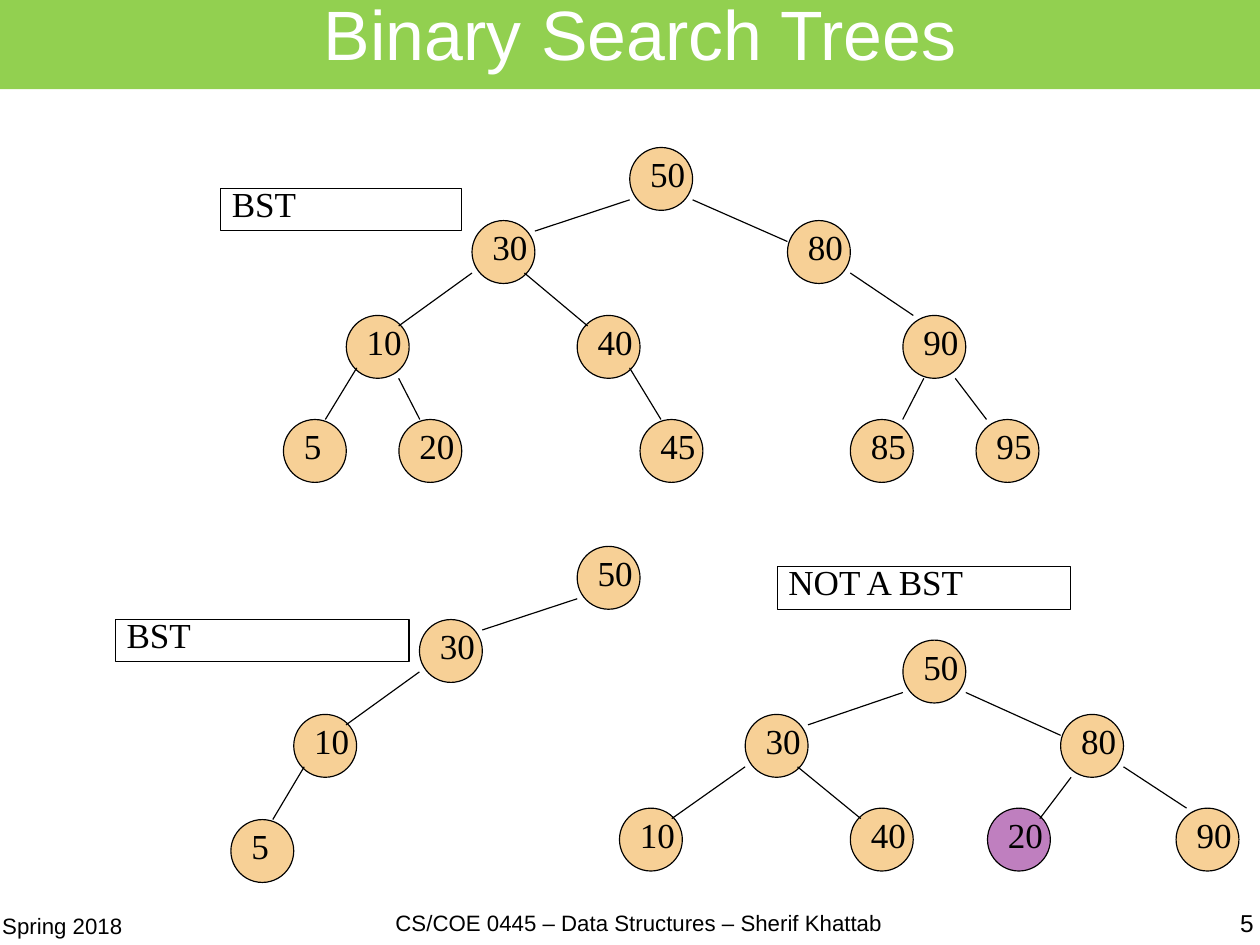
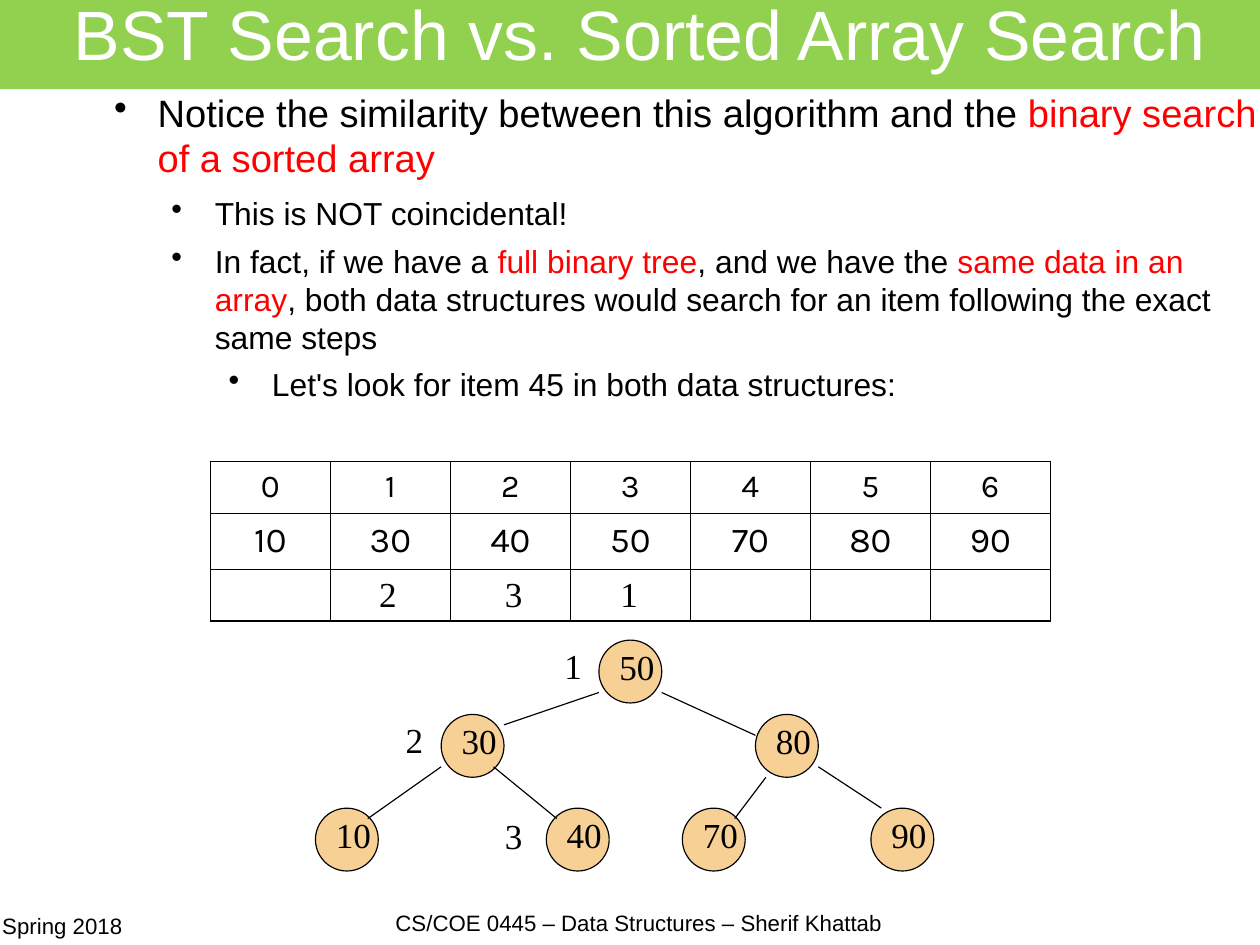
from lxml import etree
from pptx import Presentation
from pptx.dml.color import RGBColor
from pptx.enum import shapes, text
from pptx.oxml import ns
from pptx.util import Emu, Inches, Pt

INK = {"band": "92D050", "white": "FFFFFF", "black": "000000",
       "red": "FF0000", "node": "F0A22E", "odd": "800080"}
SANS, SERIF, GRID = "Arial", "Times New Roman", "Karla"
LEFT, MID, RIGHT = text.PP_ALIGN.LEFT, text.PP_ALIGN.CENTER, text.PP_ALIGN.RIGHT
TOP, CORE = text.MSO_ANCHOR.TOP, text.MSO_ANCHOR.MIDDLE
RECT, OVAL = shapes.MSO_SHAPE.RECTANGLE, shapes.MSO_SHAPE.OVAL
NODE = 0.55

# Ends of each edge, in sixths of a node: parent x, y, then child x, y
PORTS = {("50", "30"): (0, 5, 6, 1), ("50", "80"): (6, 5, 0, 2),
         ("30", "10"): (0, 5, 5, 1), ("30", "40"): (5, 5, 1, 1),
         ("80", "90"): (6, 5, 1, 0), ("80", "20"): (1, 6, 5, 1),
         ("80", "70"): (1, 6, 5, 1), ("10", "5"): (1, 5, 4, 0),
         ("10", "20"): (5, 6, 2, 0), ("40", "45"): (5, 5, 2, 0),
         ("90", "85"): (2, 6, 5, 0), ("90", "95"): (5, 6, 1, 0)}


def put(slide, at, words, size=22.1, font=SERIF, kind=None, fill=None,
        ink="black", align=LEFT, anchor=TOP, gap=0.69, pad=None, wrap=True):
    """Add a text box, or a preset shape with text, and return it."""
    at = [Inches(v) for v in at]
    if kind is None:
        box = slide.shapes.add_textbox(*at)
    else:
        box = slide.shapes.add_shape(kind, *at)
        box.shadow.inherit = False
        box.line.color.rgb = RGBColor.from_string(INK["black"])
        box.line.width = Pt(0.75)
        box.fill.background()
    if fill:
        box.fill.solid()
        box.fill.fore_color.rgb = RGBColor.from_string(INK[fill])
    frame = box.text_frame
    frame.word_wrap, frame.vertical_anchor = wrap, anchor
    if pad is not None:
        frame.margin_left = Inches(pad)
        frame.margin_right = frame.margin_top = frame.margin_bottom = 0
    para = frame.paragraphs[0]
    para.text, para.alignment, para.line_spacing = words, align, gap
    para.font.size, para.font.name = Pt(size), font
    para.font.color.rgb = RGBColor.from_string(INK[ink])
    return box


def tree(slide, nodes):
    """Draw nodes given as (label, parent, left, top), then their edges."""
    spot = {label: (x, y) for label, _, x, y in nodes}
    for label, root, x, y in nodes:
        odd = (root, label) == ("80", "20")
        ball = put(slide, (x, y, NODE, NODE), label, kind=OVAL,
                   fill="odd" if odd else "node", anchor=CORE, wrap=False)
        tint = ball.fill._xPr.find(".//" + ns.qn("a:srgbClr"))
        etree.SubElement(tint, ns.qn("a:alpha"), val="50000")
    for label, root, x, y in nodes:
        if root:
            px, py, cx, cy = [n * NODE / 6 for n in PORTS[root, label]]
            rx, ry = spot[root]
            edge = slide.shapes.add_connector(
                shapes.MSO_CONNECTOR.STRAIGHT, Inches(rx + px), Inches(ry + py),
                Inches(x + cx), Inches(y + cy))
            edge.line.color.rgb = RGBColor.from_string(INK["black"])
            edge.line.width = Pt(0.75)
            etree.SubElement(edge._element.spPr, ns.qn("a:effectLst"))


deck = Presentation()
deck.slide_width, deck.slide_height = Emu(10080625), Emu(7559675)

# Title band and footers on both slides
pages = []
for title in ("Binary Search Trees", "BST Search vs. Sorted Array Search"):
    page = deck.slides.add_slide(deck.slide_layouts[6])
    band = put(page, (0, -0.02, 11.04, 0.8), title, 44, SANS, RECT, "band",
               "white", MID, CORE, pad=0.17)
    band.line.fill.background()
    put(page, (0.02, 8.05, 2.53, 0.55), "Spring 2018", 14, SANS, gap=0.69, pad=0)
    put(page, (3.07, 8.01, 5.04, 0.55),
        "CS/COE 0445 – Data Structures – Sherif Khattab", 14, SANS,
        align=MID, gap=0.73, pad=0)
    pages.append(page)
first, second = pages

# Slide 1: three trees
put(first, (8.44, 8.01, 2.53, 0.55), "5", 15.4, SANS, align=RIGHT, gap=0.73, pad=0)
tree(first, [("50", None, 5.51, 1.29), ("30", "50", 4.13, 1.93),
             ("80", "50", 6.89, 1.93), ("10", "30", 3.03, 2.76),
             ("40", "30", 5.05, 2.76), ("90", "80", 7.9, 2.76),
             ("5", "10", 2.48, 3.67), ("20", "10", 3.49, 3.67),
             ("45", "40", 5.6, 3.67), ("85", "90", 7.44, 3.67),
             ("95", "90", 8.54, 3.67)])
tree(first, [("50", None, 5.05, 4.78), ("30", "50", 3.67, 5.42),
             ("10", "30", 2.57, 6.25), ("5", "10", 2.02, 7.17)])
tree(first, [("50", None, 7.9, 5.6), ("30", "50", 6.52, 6.25),
             ("80", "50", 9.28, 6.25), ("10", "30", 5.42, 7.07),
             ("40", "30", 7.44, 7.07), ("20", "80", 8.64, 7.07),
             ("90", "80", 10.29, 7.07)])
for words, x, y, wide in (("BST", 1.93, 1.65, 2.11), ("BST", 1.01, 5.42, 2.57),
                          ("NOT A BST", 6.8, 4.96, 2.57)):
    put(first, (x, y, wide, 0.37), words, kind=RECT)

# Slide 2: bullets as (indent, size, space after, runs), every second run red
points = [
    (1.38, 24, 8.5, ["Notice the similarity between this algorithm and the ",
                     "binary search of a sorted array"]),
    (1.88, 20, 5.8, ["This is NOT coincidental!"]),
    (1.88, 20, 5.8, ["In fact, if we have a ", "full binary tree",
                     ", and we have the ", "same data in an array",
                     ", both data structures would search for an item "
                     "following the exact same steps"]),
    (2.38, 20, 2.9, ["Let's look for item 45 in both data structures:"])]
body = second.shapes.add_textbox(0, Inches(0.78), Inches(11.04), Inches(7.18)).text_frame
body.word_wrap = True
body.margin_left = body.margin_right = body.margin_top = body.margin_bottom = 0
for i, (indent, size, after, runs) in enumerate(points):
    para = body.add_paragraph() if i else body.paragraphs[0]
    para.font.size, para.font.name = Pt(size), SANS
    para.space_after = Pt(after)
    for j, words in enumerate(runs):
        run = para.add_run()
        run.text = words
        run.font.color.rgb = RGBColor.from_string(INK["red" if j % 2 else "black"])
    props = para._p.get_or_add_pPr()
    props.set("marL", str(Inches(indent)))
    props.set("indent", str(Inches(-0.38)))
    dot = etree.Element(ns.qn("a:buChar"), char="•")
    props.find(ns.qn("a:spcAft")).addnext(dot)

# Sorted array with the order of the search steps
rows = [(0.45, 20, "0 1 2 3 4 5 6".split()),
        (0.48, 22, "10 30 40 50 70 80 90".split()),
        (0.45, 20, [""] * 7)]
grid = second.shapes.add_table(3, 7, Inches(1.84), Inches(4.04),
                               Inches(7.35), Inches(1.38)).table
grid.first_row = grid.horz_banding = False
for col in grid.columns:
    col.width = Inches(1.05)
for r, (high, size, items) in enumerate(rows):
    grid.rows[r].height = Inches(high)
    for c, item in enumerate(items):
        cell = grid.cell(r, c)
        cell.margin_left = cell.margin_right = Inches(0.11)
        cell.margin_top = cell.margin_bottom = Inches(0.06)
        para = cell.text_frame.paragraphs[0]
        para.text, para.alignment = item, MID
        para.font.size, para.font.name = Pt(size), GRID
        para.font.color.rgb = RGBColor.from_string(INK["black"])
        props = cell._tc.get_or_add_tcPr()
        for side in ("lnL", "lnR", "lnT", "lnB"):
            line = etree.SubElement(props, ns.qn("a:" + side), w=str(Pt(1)))
            paint = etree.SubElement(line, ns.qn("a:solidFill"))
            etree.SubElement(paint, ns.qn("a:srgbClr"), val=INK["black"])
        cell.fill.background()

# Search tree, with the same steps beside its nodes
tree(second, [("50", None, 5.24, 5.6), ("30", "50", 3.86, 6.25),
              ("80", "50", 6.61, 6.25), ("10", "30", 2.76, 7.07),
              ("40", "30", 4.78, 7.07), ("70", "80", 5.97, 7.07),
              ("90", "80", 7.62, 7.07)])
for step, x, y in (("1", 4.84, 5.68), ("2", 3.45, 6.33), ("3", 4.32, 7.17),
                   ("1", 5.33, 5.05), ("2", 3.22, 5.05), ("3", 4.32, 5.05)):
    put(second, (x, y, 0.37, 0.37), step, anchor=CORE, wrap=False)

deck.save("out.pptx")
